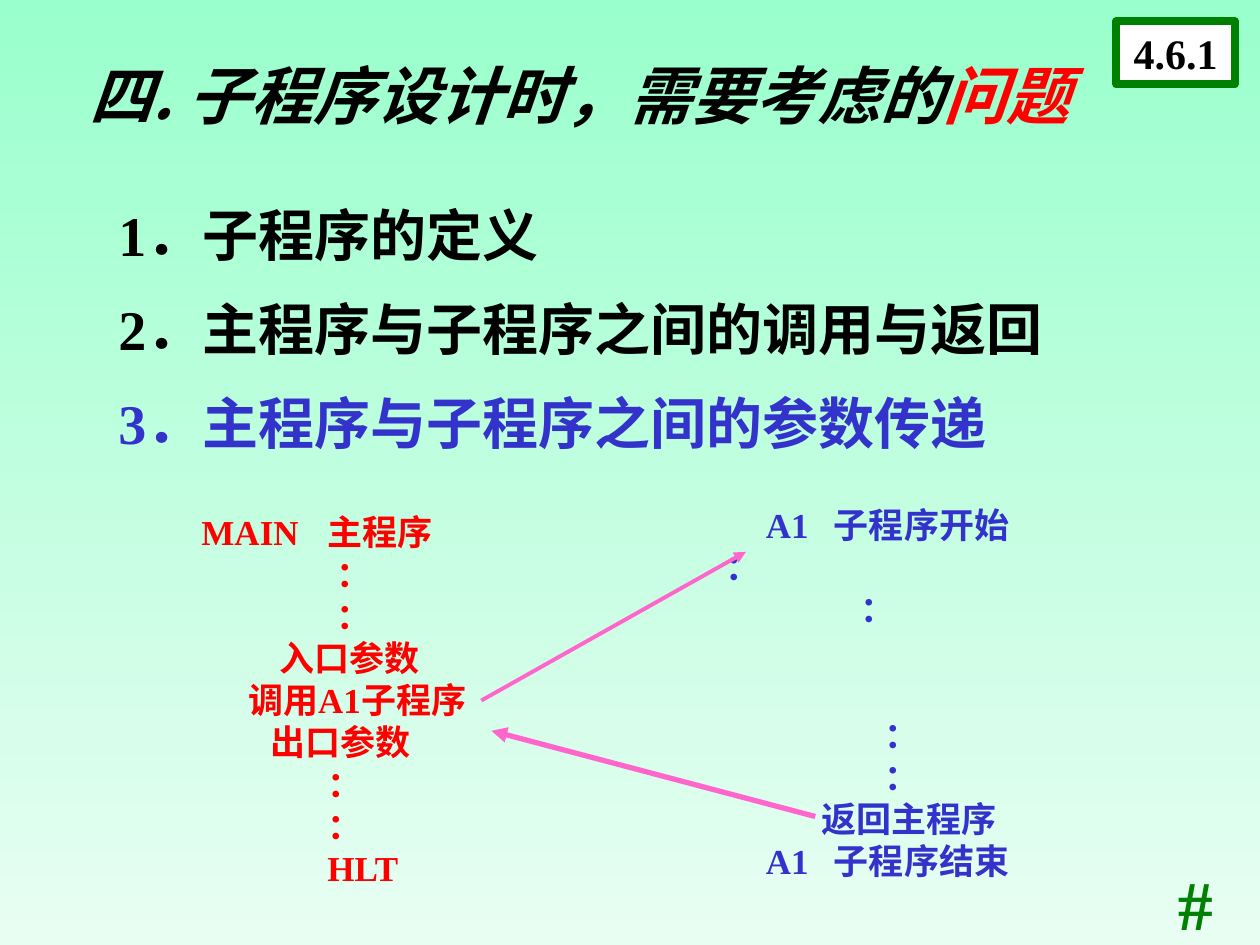
from dataclasses import dataclass

from lxml import etree
from pptx import Presentation
from pptx.dml.color import RGBColor
from pptx.enum.shapes import MSO_CONNECTOR, MSO_SHAPE
from pptx.enum.text import MSO_ANCHOR, PP_ALIGN
from pptx.oxml.ns import qn
from pptx.util import Inches, Pt

STRAIGHT = MSO_CONNECTOR.STRAIGHT
RECTANGLE = MSO_SHAPE.RECTANGLE
MIDDLE = MSO_ANCHOR.MIDDLE
CENTER = PP_ALIGN.CENTER


@dataclass(frozen=True)
class Theme:
    black: str = "000000"
    white: str = "FFFFFF"
    red: str = "FF0000"
    blue: str = "3333CC"
    green: str = "008000"
    pink: str = "FF66CC"
    sky_top: str = "99FFCC"
    sky_bottom: str = "E8FEF3"
    latin: str = "Times New Roman"
    chinese: str = "Noto Sans CJK SC"
    title_size: int = 36
    topic_size: int = 32
    step_size: int = 20
    section_size: int = 24
    mark_size: int = 40


theme = Theme()


def add_run(paragraph, text, size, color, latin=theme.latin, italic=False):
    run = paragraph.add_run()
    run.text = text
    formats = {"size": Pt(size), "bold": True, "italic": italic, "name": latin}
    for name, value in formats.items():
        setattr(run.font, name, value)
    run.font.color.rgb = RGBColor.from_string(color)
    east_asian = etree.SubElement(run._r.get_or_add_rPr(), qn("a:ea"))
    east_asian.set("typeface", theme.chinese)


def add_text_frame(left, top, width, height):
    box = slide.shapes.add_textbox(
        Inches(left), Inches(top), Inches(width), Inches(height)
    )
    box.text_frame.word_wrap = True
    return box.text_frame


prs = Presentation()
prs.slide_width, prs.slide_height = Inches(10), Inches(7.5)
slide = prs.slides.add_slide(prs.slide_layouts[5])

sky = slide.background.fill
sky.gradient()
sky.gradient_angle = 270
for stop, color, position in zip(
    sky.gradient_stops, (theme.sky_top, theme.sky_bottom), (0, 1)
):
    stop.color.rgb = RGBColor.from_string(color)
    stop.position = position

title = slide.shapes.title
title_place = {"left": 0.35, "top": 0.28, "width": 8.5, "height": 0.94}
for name, value in title_place.items():
    setattr(title, name, Inches(value))
title.text_frame.vertical_anchor = MIDDLE
heading = title.text_frame.paragraphs[0]
heading.alignment = CENTER
for text, color in (
    ("四. 子程序设计时，需要考虑的", theme.black),
    ("问题", theme.red),
):
    add_run(heading, text, theme.title_size, color, theme.chinese, True)

topics = add_text_frame(0.84, 1.33, 8.41, 2.4)
for index, (text, color) in enumerate([
    ("1．子程序的定义", theme.black),
    ("2．主程序与子程序之间的调用与返回", theme.black),
    ("3．主程序与子程序之间的参数传递", theme.blue),
]):
    topic = topics.add_paragraph() if index else topics.paragraphs[0]
    topic.line_spacing = Pt(53.7)
    add_run(topic, text, theme.topic_size, color)

main_steps = [
    ("\tMAIN\t主程序", (1, 2), 0),
    ("\t：", (2.07,), 0),
    ("\t：", (2.07,), 0),
    ("\t入口参数", (1.62,), 0),
    ("\t调用A1子程序", (1.37,), 0),
    ("\t出口参数", (1.55,), 0),
    ("\t：", (2,), 0),
    ("\t：", (2,), 0),
    ("\tHLT", (2,), 0),
]
subroutine_steps = [
    ("\tA1\t子程序开始", (1.06, 1.6), 0),
    ("\t：", (0.74,), 0),
    ("\t：", (1.81,), 0),
    ("\t：", (2,), 48),
    ("\t：", (2,), 0),
    ("\t返回主程序", (1.5,), 0),
    ("\tA1\t子程序结束", (1.06, 1.6), 0),
]
for steps, color, place in (
    (main_steps, theme.red, (0.5, 4, 3.92, 3.1)),
    (subroutine_steps, theme.blue, (4.92, 3.95, 3.89, 3.1)),
):
    listing = add_text_frame(*place)
    for index, (text, stops, gap) in enumerate(steps):
        step = listing.add_paragraph() if index else listing.paragraphs[0]
        step.line_spacing = Pt(24)
        step.space_before = Pt(gap)
        tabs = etree.SubElement(step._p.get_or_add_pPr(), qn("a:tabLst"))
        for stop in stops:
            tab = etree.SubElement(tabs, qn("a:tab"))
            tab.set("pos", str(Inches(stop)))
            tab.set("algn", "l")
        add_run(step, text, theme.step_size, color)

for start, end, weight in (
    ((3.82, 5.56), (5.92, 4.38), 2.25),
    ((6.47, 6.48), (3.9, 5.8), 3),
):
    arrow = slide.shapes.add_connector(
        STRAIGHT, *(Inches(value) for value in start + end)
    )
    arrow.line.color.rgb = RGBColor.from_string(theme.pink)
    arrow.line.width = Pt(weight)
    etree.SubElement(arrow.line._get_or_add_ln(), qn("a:tailEnd")).set(
        "type", "triangle"
    )
    etree.SubElement(arrow._element.spPr, qn("a:effectLst"))

section = slide.shapes.add_shape(
    RECTANGLE, Inches(8.86), Inches(0.17), Inches(0.94), Inches(0.5)
)
section.shadow.inherit = False
section.fill.solid()
section.fill.fore_color.rgb = RGBColor.from_string(theme.white)
section.line.color.rgb = RGBColor.from_string(theme.green)
section.line.width = Pt(4.5)
section.text_frame.vertical_anchor = MIDDLE
section_number = section.text_frame.paragraphs[0]
section_number.alignment = CENTER
add_run(section_number, "4.6.1", theme.section_size, theme.black)

end_mark = add_text_frame(9.25, 6.78, 0.5, 0.72)
add_run(end_mark.paragraphs[0], "#", theme.mark_size, theme.green)

prs.save("out.pptx")
